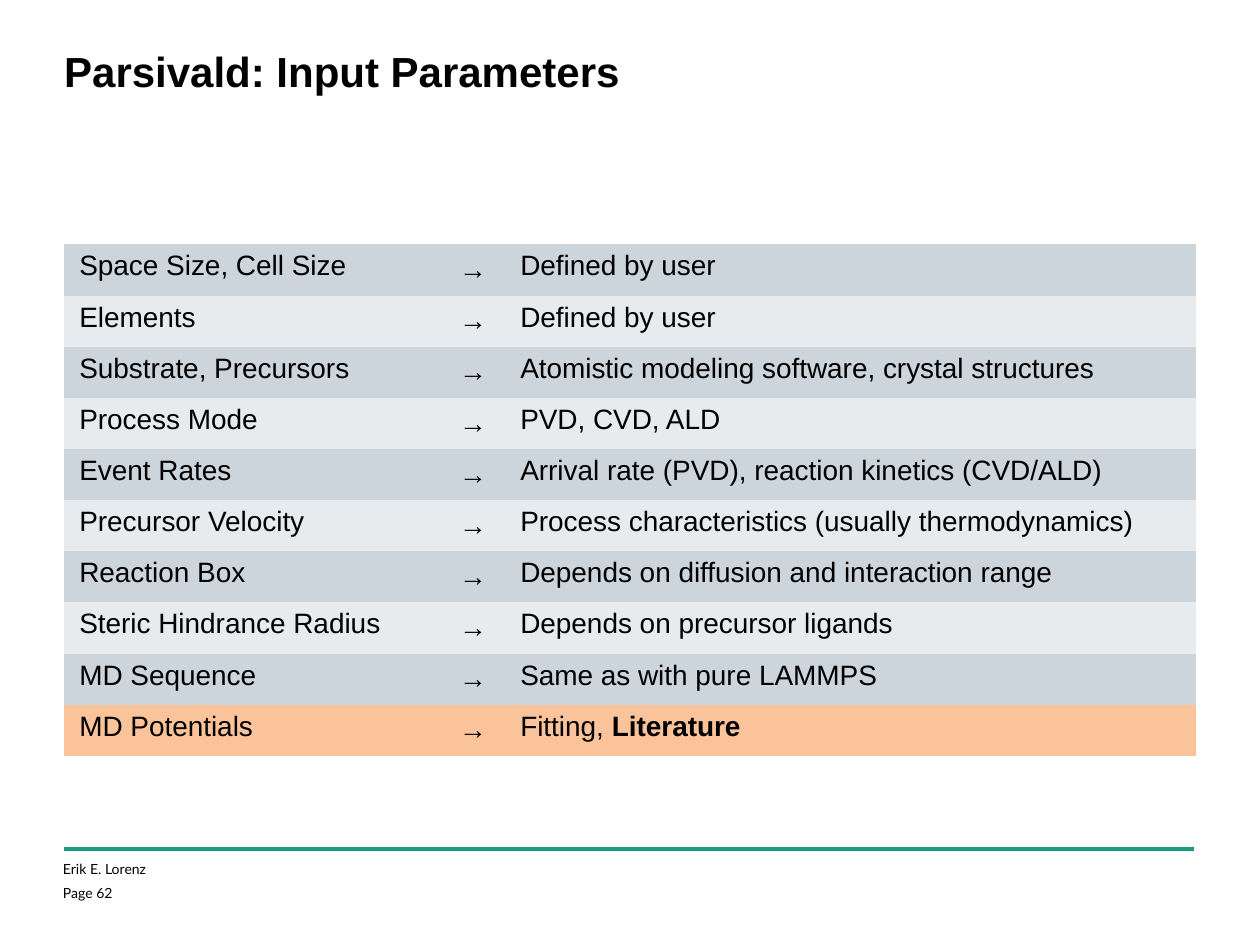
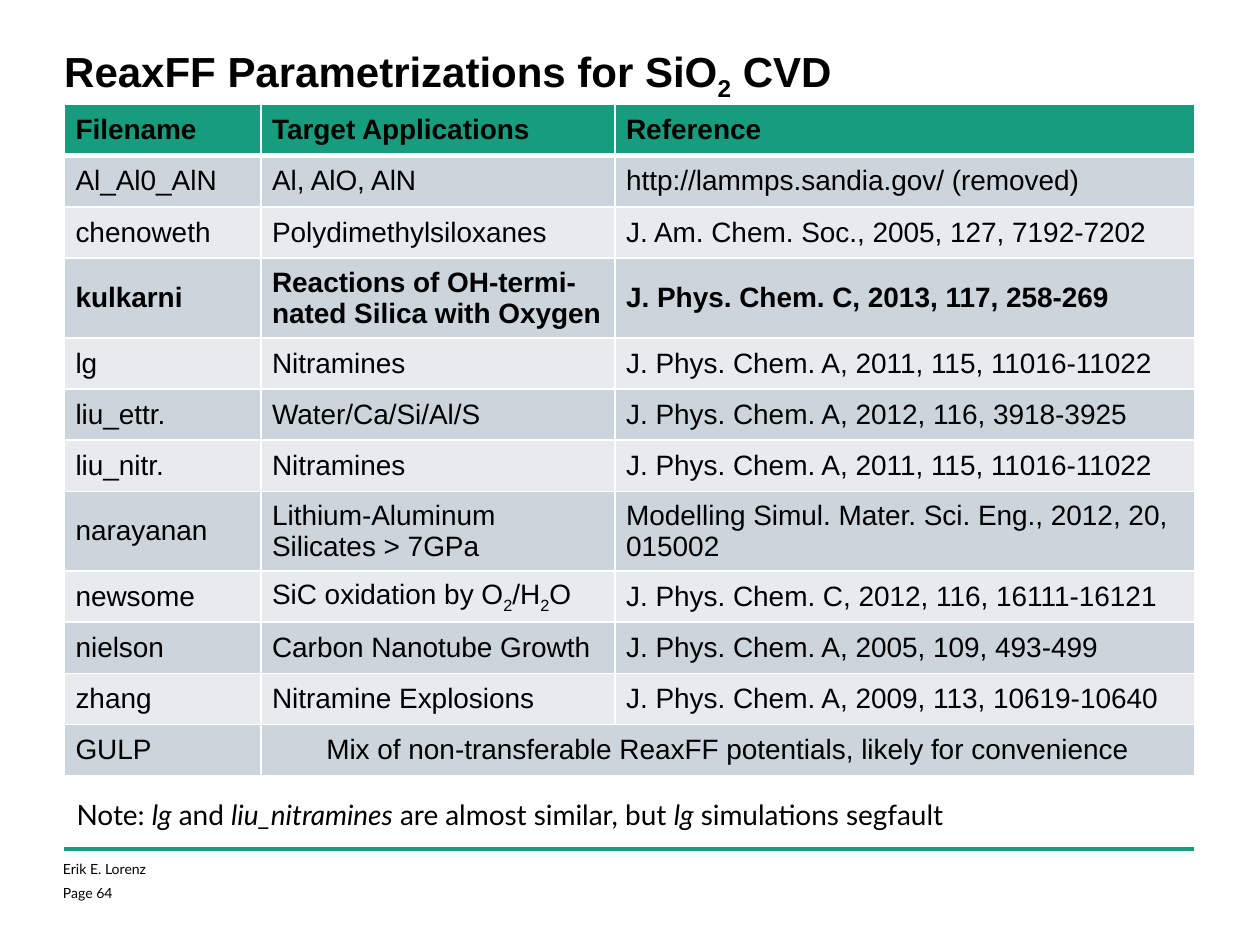
"""Builds two slides on simulation input parameters and ReaxFF parametrizations."""
import dataclasses
import typing

import lxml.etree
import pptx
import pptx.dml.color
import pptx.enum.shapes
import pptx.enum.text
import pptx.oxml.ns
import pptx.util

Inches = pptx.util.Inches
Pt = pptx.util.Pt
Align = pptx.enum.text.PP_ALIGN
Anchor = pptx.enum.text.MSO_ANCHOR


@dataclasses.dataclass(frozen=True)
class Theme:
    """Holds the colours, fonts and type sizes of the presentation."""
    accent: str = "179C7D"
    band_dark: str = "CCD5DC"
    band_light: str = "E7EBEE"
    highlight: str = "FBC399"
    text: str = "000000"
    border: str = "FFFFFF"
    heading_font: str = "Arial"
    note_font: str = "Lato"
    title_size: int = 24
    body_size: int = 16
    footer_size: int = 8


class Span(typing.NamedTuple):
    """Is a piece of text with its own emphasis."""
    text: str
    bold: bool = False
    italic: bool = False
    subscript: bool = False


RichText = str | tuple[Span, ...]


class TableRow(typing.NamedTuple):
    """Is one table row; a missing last cell joins the one before it."""
    cells: tuple[RichText, ...]
    bold: bool = False
    fill: str | None = None


class TableLayout(typing.NamedTuple):
    """Describes the place and cell format of a table."""
    top: float
    column_widths: tuple[float, ...]
    side_inset: float
    anchors: tuple[Anchor, ...]
    alignments: tuple[Align, ...]
    bordered: bool = False


THEME = Theme()
LEFT = Inches(0.51)
WIDTH = Inches(8.97)
ROW_HEIGHT = Inches(4.06) // 10
NO_TABLE_STYLE = "{2D5ABB26-0587-4C30-8999-92F81FD0307C}"

INPUT_SOURCES: tuple[tuple[str, RichText], ...] = (
    ("Space Size, Cell Size", "Defined by user"),
    ("Elements", "Defined by user"),
    ("Substrate, Precursors", "Atomistic modeling software, crystal structures"),
    ("Process Mode", "PVD, CVD, ALD"),
    ("Event Rates", "Arrival rate (PVD), reaction kinetics (CVD/ALD)"),
    ("Precursor Velocity", "Process characteristics (usually thermodynamics)"),
    ("Reaction Box", "Depends on diffusion and interaction range"),
    ("Steric Hindrance Radius", "Depends on precursor ligands"),
    ("MD Sequence", "Same as with pure LAMMPS"),
    ("MD Potentials", (Span("Fitting, "), Span("Literature", bold=True))),
)

OXIDATION = (
    Span("SiC oxidation by O"), Span("2", subscript=True),
    Span("/H"), Span("2", subscript=True), Span("O"),
)

PARAMETRIZATIONS = (
    TableRow(("Filename", "Target Applications", "Reference"), bold=True, fill=THEME.accent),
    TableRow(("Al_Al0_AlN", "Al, AlO, AlN", "http://lammps.sandia.gov/ (removed)")),
    TableRow(("chenoweth", "Polydimethylsiloxanes", "J. Am. Chem. Soc., 2005, 127, 7192-7202")),
    TableRow(("kulkarni", "Reactions of OH-termi-nated Silica with Oxygen",
              "J. Phys. Chem. C, 2013, 117, 258-269"), bold=True),
    TableRow(("lg", "Nitramines", "J. Phys. Chem. A, 2011, 115, 11016-11022")),
    TableRow(("liu_ettr.", "Water/Ca/Si/Al/S", "J. Phys. Chem. A, 2012, 116, 3918-3925")),
    TableRow(("liu_nitr.", "Nitramines", "J. Phys. Chem. A, 2011, 115, 11016-11022")),
    TableRow(("narayanan", "Lithium-Aluminum Silicates > 7GPa",
              "Modelling Simul. Mater. Sci. Eng., 2012, 20, 015002")),
    TableRow(("newsome", OXIDATION, "J. Phys. Chem. C, 2012, 116, 16111-16121")),
    TableRow(("nielson", "Carbon Nanotube Growth", "J. Phys. Chem. A, 2005, 109, 493-499")),
    TableRow(("zhang", "Nitramine Explosions", "J. Phys. Chem. A, 2009, 113, 10619-10640")),
    TableRow(("GULP", "Mix of non-transferable ReaxFF potentials, likely for convenience")),
)


def write_text(frame, *paragraphs: RichText, size: int, font: str = THEME.heading_font,
               bold: bool = False, align: Align = Align.LEFT, gap: float = 0) -> None:
    """Fill a text frame with formatted paragraphs."""
    for index, content in enumerate(paragraphs):
        paragraph = frame.add_paragraph() if index else frame.paragraphs[0]
        paragraph.alignment = align
        if index:
            paragraph.space_before = Pt(gap)
        for span in (Span(content),) if isinstance(content, str) else content:
            run = paragraph.add_run()
            run.text = span.text
            run.font.name = font
            run.font.size = Pt(size)
            run.font.bold = bold or span.bold
            run.font.italic = span.italic
            run.font.color.rgb = pptx.dml.color.RGBColor.from_string(THEME.text)
            if span.subscript:
                run.font._element.set("baseline", "-25000")


def add_text_box(slide, left: int, top: int, width: int, height: int, inset: bool = False):
    """Add a wrapping text box and return its text frame."""
    frame = slide.shapes.add_textbox(left, top, width, height).text_frame
    frame.word_wrap = True
    if not inset:
        frame.margin_left = frame.margin_right = frame.margin_top = frame.margin_bottom = 0
    return frame


def add_page(presentation, title: RichText, number: int):
    """Add a slide with its title, footer rule and footer."""
    slide = presentation.slides.add_slide(presentation.slide_layouts[6])
    rule_top = Inches(6.74)
    rule = slide.shapes.add_connector(
        pptx.enum.shapes.MSO_CONNECTOR.STRAIGHT, LEFT, rule_top, LEFT + WIDTH, rule_top)
    rule.line.color.rgb = pptx.dml.color.RGBColor.from_string(THEME.accent)
    rule.line.width = Pt(2.5)
    lxml.etree.SubElement(rule._element.spPr, pptx.oxml.ns.qn("a:effectLst"))
    footer = add_text_box(slide, Inches(0.5), Inches(6.83), Inches(3.17), Inches(0.34))
    write_text(footer, "Erik E. Lorenz", f"Page {number}",
               size=THEME.footer_size, font=THEME.note_font, gap=THEME.footer_size / 2)
    heading = add_text_box(slide, LEFT, Inches(0.36), WIDTH, Inches(1.34))
    write_text(heading, title, size=THEME.title_size, bold=True)
    return slide


def set_borders(cell, widths: dict[str, float]) -> None:
    """Draw solid cell borders with the given widths in points."""
    properties = cell._tc.get_or_add_tcPr()
    for index, (side, width) in enumerate(widths.items()):
        line = lxml.etree.Element(pptx.oxml.ns.qn(f"a:ln{side}"), w=str(Pt(width)))
        fill = lxml.etree.SubElement(line, pptx.oxml.ns.qn("a:solidFill"))
        lxml.etree.SubElement(fill, pptx.oxml.ns.qn("a:srgbClr"), val=THEME.border)
        properties.insert(index, line)


def add_banded_table(slide, rows: typing.Sequence[TableRow], layout: TableLayout,
                     first_band: int = 0) -> None:
    """Add a table with alternating row fills."""
    column_count = len(layout.column_widths)
    table = slide.shapes.add_table(
        len(rows), column_count, LEFT, Inches(layout.top), WIDTH, ROW_HEIGHT * len(rows)).table
    table._tbl.tblPr[0].text = NO_TABLE_STYLE
    table.first_row = table.horz_banding = False
    for column, width in zip(table.columns, layout.column_widths):
        column.width = Inches(width)
    bands = (THEME.band_dark, THEME.band_light)
    for row_index, row in enumerate(rows):
        table.rows[row_index].height = ROW_HEIGHT
        fill = row.fill or bands[(row_index - first_band) % 2]
        last = len(row.cells) - 1
        merged = len(row.cells) < column_count
        if merged:
            table.cell(row_index, last).merge(table.cell(row_index, column_count - 1))
        for column_index in range(column_count):
            cell = table.cell(row_index, column_index)
            cell.fill.solid()
            cell.fill.fore_color.rgb = pptx.dml.color.RGBColor.from_string(fill)
            cell.margin_left = cell.margin_right = Inches(layout.side_inset)
            cell.margin_top = cell.margin_bottom = Inches(0.05)
            cell.vertical_anchor = layout.anchors[column_index]
            if layout.bordered:
                set_borders(cell, {"L": 1, "R": 1, "T": 3 if row_index == 1 else 1,
                                   "B": 3 if row_index == 0 else 1})
            if column_index <= last:
                centred = merged and column_index == last
                write_text(cell.text_frame, row.cells[column_index], size=THEME.body_size,
                           bold=row.bold,
                           align=Align.CENTER if centred else layout.alignments[column_index])


def add_input_parameters(presentation) -> None:
    """Add the slide that lists where each input parameter comes from."""
    slide = add_page(presentation, "Parsivald: Input Parameters", 62)
    rows = [TableRow((parameter, "→", origin)) for parameter, origin in INPUT_SOURCES]
    rows[-1] = rows[-1]._replace(fill=THEME.highlight)
    add_banded_table(slide, rows, TableLayout(
        top=1.94, column_widths=(2.99, 0.51, 5.48), side_inset=0.12,
        anchors=(Anchor.TOP, Anchor.MIDDLE, Anchor.TOP),
        alignments=(Align.LEFT, Align.CENTER, Align.LEFT)))


def add_parametrizations(presentation) -> None:
    """Add the slide that compares the ReaxFF parameter files."""
    title = (Span("ReaxFF Parametrizations for SiO"), Span("2", subscript=True), Span(" CVD"))
    slide = add_page(presentation, title, 64)
    add_banded_table(slide, PARAMETRIZATIONS, TableLayout(
        top=0.83, column_widths=(1.56, 2.81, 4.6), side_inset=0.09,
        anchors=(Anchor.MIDDLE,) * 3, alignments=(Align.LEFT,) * 3, bordered=True),
        first_band=1)
    note = (Span("Note: "), Span("lg", italic=True), Span(" and "),
            Span("liu_nitramines", italic=True), Span(" are almost similar, but "),
            Span("lg", italic=True), Span(" simulations segfault"))
    frame = add_text_box(slide, LEFT, Inches(6.28), WIDTH, Inches(0.37), inset=True)
    write_text(frame, note, size=THEME.body_size, font=THEME.note_font)


def main() -> None:
    """Build and save the presentation."""
    presentation = pptx.Presentation()
    presentation.slide_width = Inches(10)
    presentation.slide_height = Inches(7.5)
    add_input_parameters(presentation)
    add_parametrizations(presentation)
    presentation.save("out.pptx")


if __name__ == "__main__":
    main()
